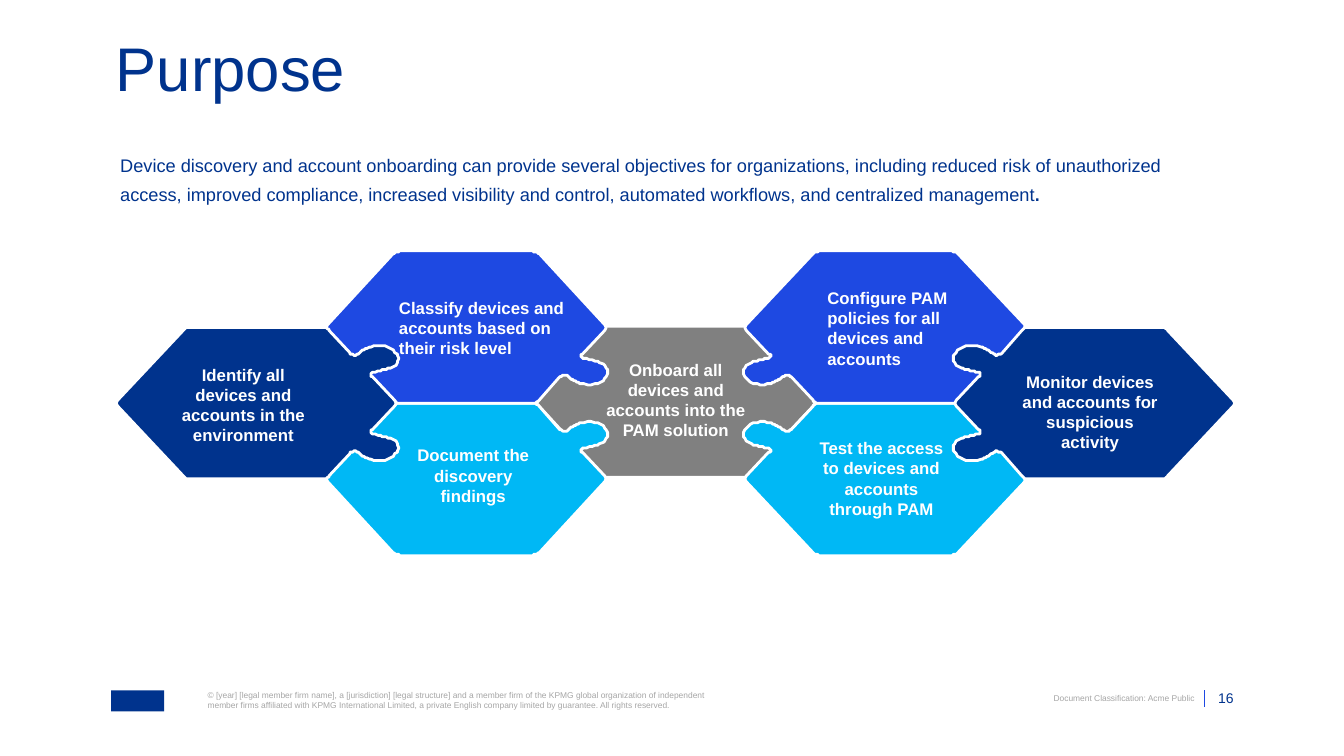
from lxml.etree import SubElement
from pptx import Presentation
from pptx.dml.color import RGBColor as Rgb
from pptx.enum.shapes import MSO_CONNECTOR as Conn, MSO_SHAPE as Kind
from pptx.enum.text import MSO_ANCHOR as Anchor, MSO_AUTO_SIZE as Auto, PP_ALIGN as Align
from pptx.oxml.ns import qn
from pptx.util import Pt

HUES = {"navy": "00338D", "blue": "1E49E2", "cyan": "00B8F5",
        "gray": "808080", "pale": "A6A6A6", "white": "FFFFFF"}

# Half sizes of a hexagon tile, and the distance between tile columns
HALF_W, HALF_H, STEP = 100, 54.3, 149.75

# Knob below a right-hand tip: start point, then cubic curves, relative to the tip
KNOB_START = (-17, 19)
KNOB = [
    ((-19.5, 20), (-17.5, 22.5), (-15, 22.5)),
    ((-11.5, 23), (-8, 24), (-4.5, 25)),
    ((2, 27.5), (3, 33), (-0.7, 36.5)),
    ((-4, 40.5), (-11.5, 42.5), (-18.5, 40)),
    ((-21.5, 39), (-24.5, 37.5), (-26.5, 35.5)),
    ((-29, 34), (-31.5, 34), (-33.5, 36)),
]

# Column, vertical centre, colour, corners (x sign, y sign) that carry a knob.
# Tiles with knobs come after the tiles they lock into.
TILES = [
    (2, 287, "gray", []),
    (1, 342.3, "cyan", [(1, -1)]),
    (1, 233.7, "blue", [(1, 1)]),
    (3, 342.3, "cyan", [(-1, -1)]),
    (3, 233.7, "blue", [(-1, 1)]),
    (0, 288, "navy", [(1, -1), (1, 1)]),
    (4, 288, "navy", [(-1, -1), (-1, 1)]),
]

# Left, top, width, height, alignment, text
LABELS = [
    (116.6, 256.3, 114.5, 65.5, Align.CENTER,
     "Identify all devices and accounts in the environment"),
    (277.9, 208.8, 148.3, 51, Align.LEFT,
     "Classify devices and accounts based on their risk level"),
    (280.8, 314, 114.5, 51, Align.CENTER, "Document the discovery findings"),
    (425.5, 252.7, 114.5, 65.5, Align.CENTER,
     "Onboard all devices and accounts into the PAM solution"),
    (583.9, 201.6, 128.2, 65.5, Align.LEFT,
     "Configure PAM policies for all devices and accounts"),
    (572.4, 308.9, 114.5, 65.5, Align.CENTER,
     "Test the access to devices and accounts through PAM"),
    (721.4, 261.4, 114.5, 65.5, Align.CENTER,
     "Monitor devices and accounts for suspicious activity"),
]


def rgb(hue):
    return Rgb.from_string(HUES[hue])


def place(shape, box):
    shape.left, shape.top, shape.width, shape.height = map(Pt, box)


def style(font, size, hue, bold=False):
    font.name, font.size, font.bold = "Arial", Pt(size), bold
    font.color.rgb = rgb(hue)


def set_frame(frame, inset, anchor=Anchor.TOP):
    frame.word_wrap = True
    frame.auto_size = Auto.NONE
    frame.vertical_anchor = anchor
    frame.margin_left = frame.margin_right = Pt(inset)
    frame.margin_top = frame.margin_bottom = Pt(inset / 2)


def add_text(slide, box, text, size, hue, align=Align.LEFT, bold=False,
             inset=0, anchor=Anchor.TOP):
    area = slide.shapes.add_textbox(*map(Pt, box))
    set_frame(area.text_frame, inset, anchor)
    para = area.text_frame.paragraphs[0]
    para.text, para.alignment = text, align
    style(para.font, size, hue, bold)


def bend(a, b, c, d, steps=8):
    """Points along a cubic curve, without its start."""
    points = []
    for i in range(1, steps + 1):
        t = i / steps
        u = 1 - t
        points.append(tuple(u**3 * p + 3 * u * u * t * q + 3 * u * t * t * r + t**3 * s
                            for p, q, r, s in zip(a, b, c, d)))
    return points


def trace_corner(knobbed):
    """Lower right quarter of a tile, from its tip to its flat base."""
    points = [(HALF_W, 0), (HALF_W - 0.8, 1.8)]
    if knobbed:
        trail = [KNOB_START]
        for curve in KNOB:
            trail += bend(trail[-1], *curve)
        points += [(HALF_W + x, y) for x, y in trail]
    turn = (HALF_W - 48.2, HALF_H - 1.8)
    base = (HALF_W - 53, HALF_H)
    return points + [turn] + bend(turn, (50.5, 53.7), (49, HALF_H), base)


def add_tile(slide, mid_x, mid_y, hue, knobs):
    points = []
    for sx, sy in [(1, 1), (-1, 1), (-1, -1), (1, -1)]:
        quarter = [(mid_x + sx * x, mid_y + sy * y)
                   for x, y in trace_corner((sx, sy) in knobs)]
        points += quarter if sx == sy else quarter[::-1]
    pen = slide.shapes.build_freeform(*points[0], scale=Pt(1))
    pen.add_line_segments(points[1:], close=True)
    tile = pen.convert_to_shape()
    tile.shadow.inherit = False
    tile.fill.solid()
    tile.fill.fore_color.rgb = rgb(hue)
    tile.line.color.rgb = rgb("white")
    tile.line.width = Pt(2)


def add_puzzle(slide, left):
    for col, mid_y, hue, knobs in TILES:
        add_tile(slide, left + HALF_W + col * STEP, mid_y, hue, knobs)
    for *box, align, text in LABELS:
        add_text(slide, box, text, 12, "white", align, True, 7.2, Anchor.MIDDLE)


def set_title(slide, box, text):
    title = slide.shapes.title
    place(title, box)
    set_frame(title.text_frame, 0)
    para = title.text_frame.paragraphs[0]
    para.text, para.alignment, para.line_spacing = text, Align.LEFT, 0.7
    style(para.font, 44, "navy")


def set_intro(slide, box, text):
    body = slide.placeholders[1]
    place(body, box)
    set_frame(body.text_frame, 7.2)
    para = body.text_frame.paragraphs[0]
    para.space_before = Pt(0)
    props = para._p.get_or_add_pPr()
    props.set("marL", "0")
    props.set("indent", "0")
    SubElement(props, qn("a:buNone"))
    for part, size in [(text, 13), (".", 18)]:
        run = para.add_run()
        run.text = part
        style(run.font, size, "navy")


def add_footer(slide, left, top, right):
    mark = slide.shapes.add_shape(Kind.RECTANGLE, Pt(left), Pt(top), Pt(38), Pt(15))
    mark.shadow.inherit = False
    mark.fill.solid()
    mark.fill.fore_color.rgb = rgb("navy")
    mark.line.fill.background()
    add_text(slide, (left + 69, top, 364.3, 14.4),
             "© [year] [legal member firm name], a [jurisdiction] [legal structure] and a "
             "member firm of the KPMG global organization of independent member firms "
             "affiliated with KPMG International Limited, a private English company "
             "limited by guarantee. All rights reserved.", 6, "pale")
    add_text(slide, (right - 175, top + 2, 147, 7.2),
             "Document Classification: Acme Public", 6, "pale", Align.RIGHT)
    rule = slide.shapes.add_connector(Conn.STRAIGHT, Pt(right - 21), Pt(top),
                                      Pt(right - 21), Pt(top + 12))
    rule.line.color.rgb = rgb("blue")
    rule.line.width = Pt(0.5)
    SubElement(rule._element.spPr, qn("a:effectLst"))
    add_text(slide, (right - 19.5, top, 19.5, 11.5), "16", 10, "navy",
             Align.RIGHT, anchor=Anchor.BOTTOM)


def main():
    deck = Presentation()
    deck.slide_width, deck.slide_height = Pt(960), Pt(540)
    slide = deck.slides.add_slide(deck.slide_layouts[1])
    set_title(slide, (82.8, 36, 803.5, 56.2), "Purpose")
    set_intro(slide, (78.7, 106.6, 779.8, 44.6),
              "Device discovery and account onboarding can provide several objectives for "
              "organizations, including reduced risk of unauthorized access, improved "
              "compliance, increased visibility and control, automated workflows, and "
              "centralized management")
    add_puzzle(slide, 83.2)
    add_footer(slide, 79.3, 493.2, 881.3)
    deck.save("out.pptx")


if __name__ == "__main__":
    main()
